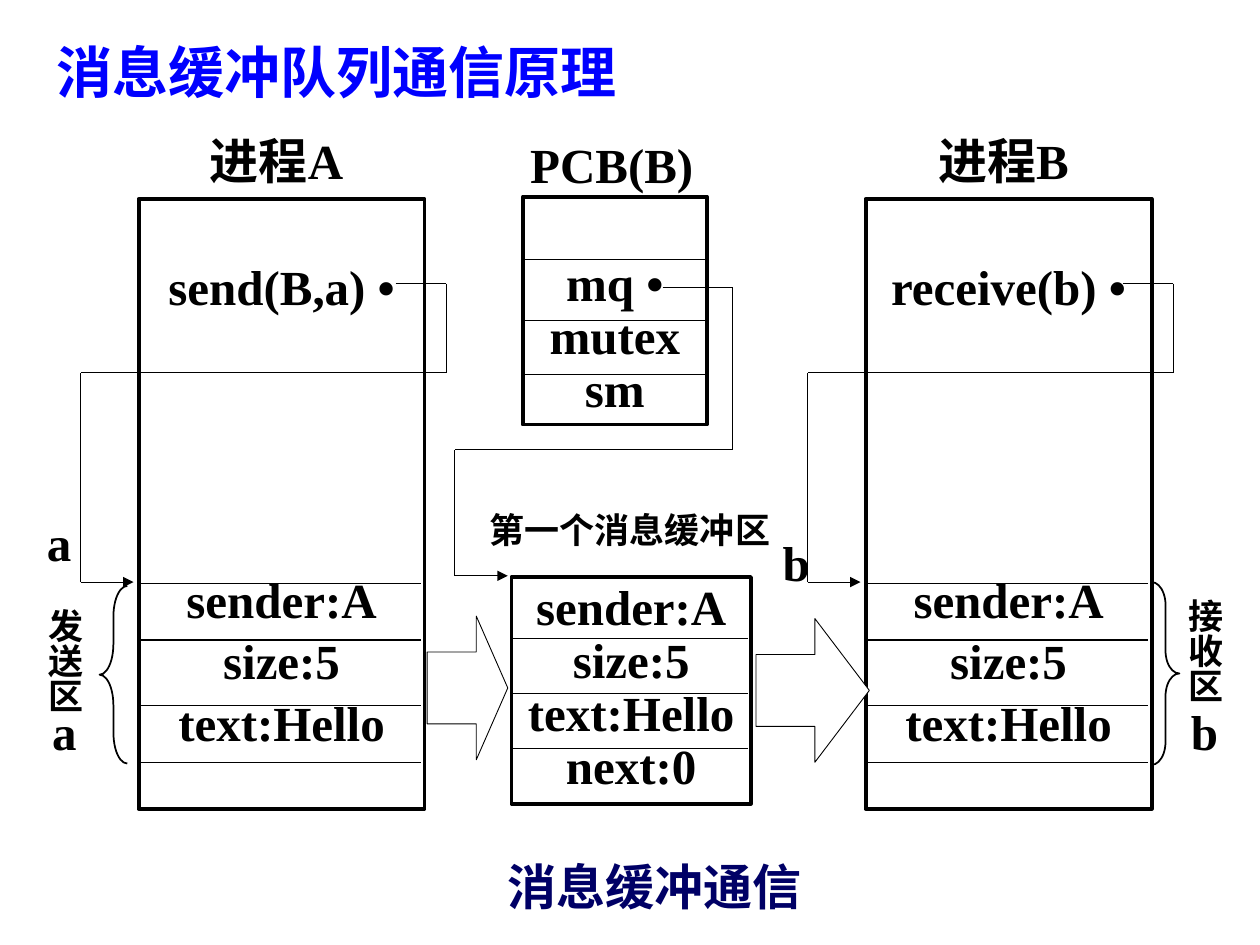
from lxml import etree
from pptx import Presentation, util as u
from pptx.dml.color import RGBColor
from pptx.enum import shapes as sh, text as tx
from pptx.oxml.ns import qn

FONT = "Times New Roman"
BLACK, WHITE, BLUE, NAVY = "000000", "FFFFFF", "0000FF", "000066"
COLS = 100  # square grid: 100 columns by 75 rows
WIDE = u.Inches(10)
PAD, SLIM = (0.6, 0.5), (0.2, 0.1)
MID = tx.PP_ALIGN.CENTER
KIND = sh.MSO_SHAPE


def cell(n):
    return u.Emu(round(n * WIDE / COLS))


def paint(fmt, code):
    fmt.solid()
    fmt.fore_color.rgb = RGBColor.from_string(code)


def write(shape, words, size=28, color=BLACK, pad=PAD, align=MID,
          lead=None, gaps=()):
    """Put bold text in a shape; gaps are points before each later line."""
    frame = shape.text_frame
    frame.text = words
    frame.word_wrap = True
    frame.margin_left = frame.margin_right = cell(pad[0])
    frame.margin_top = frame.margin_bottom = cell(pad[1])
    for para in frame.paragraphs:
        para.alignment = align
        if lead:
            para.line_spacing = lead
        for run in para.runs:
            run.font.name, run.font.size, run.font.bold = FONT, u.Pt(size), True
            run.font.color.rgb = RGBColor.from_string(color)
    for para, gap in zip(frame.paragraphs[1:], gaps):
        para.space_before = u.Pt(gap)
    return frame


def label(slide, spot, words, upright=False, **style):
    box = slide.shapes.add_textbox(*map(cell, spot))
    frame = write(box, words, **style)
    if upright:
        frame._txBody.find(qn("a:bodyPr")).set("vert", "eaVert")


def form(slide, kind, spot, width, fill=None, adj=()):
    shape = slide.shapes.add_shape(kind, *map(cell, spot))
    shape.shadow.inherit = False
    if fill:
        paint(shape.fill, fill)
    else:
        shape.fill.background()
    paint(shape.line.fill, BLACK)
    shape.line.width = u.Pt(width)
    for i, value in enumerate(adj):
        shape.adjustments[i] = value
    return shape


def rule(slide, start, end, width=0.5, head=False):
    line = slide.shapes.add_connector(
        sh.MSO_CONNECTOR.STRAIGHT, *map(cell, (*start, *end)))
    paint(line.line.fill, BLACK)
    line.line.width = u.Pt(width)
    if head:
        etree.SubElement(line.line._get_or_add_ln(), qn("a:tailEnd"),
                         type="triangle")
    etree.SubElement(line._element.spPr, qn("a:effectLst"))


def trail(slide, points):
    """Join points by straight lines, with an arrowhead on the last."""
    last = len(points) - 2
    for i, (start, end) in enumerate(zip(points, points[1:])):
        rule(slide, start, end, head=i == last)


def process(slide, left, name, call):
    """A process: heading, frame, message rows and pointer to them."""
    label(slide, (left - 0.1, 9.9, 22.1, 5.7), name)
    box = form(slide, KIND.RECTANGLE, (left, 15.8, 22.7, 48.4), 2.25)
    frame = write(box, f"{call} •\nsender:A\nsize:5\ntext:Hello",
                  gaps=(145, 1.5, 1.5))
    frame.word_wrap = False
    frame.vertical_anchor = tx.MSO_ANCHOR.MIDDLE
    for row in (46.3, 50.8, 56, 60.5):
        rule(slide, (left + 0.2, row), (left + 22.4, row), 0.75)
    near, far, back, tip = (left + n for n in (20.4, 24.4, -4.6, -0.4))
    trail(slide, [(near, 22.5), (far, 22.5), (far, 29.6), (back, 29.6),
                  (back, 46.2), (tip, 46.2)])


def block(slide):
    """The control block of process B and its pointer."""
    label(slide, (39, 10.2, 19.1, 5.7), "PCB(B)")
    box = form(slide, KIND.RECTANGLE, (41.5, 15.6, 14.6, 18.1), 2.25, WHITE)
    frame = write(box, "mq •\nmutex\nsm", lead=0.9)
    frame.word_wrap = False
    frame.vertical_anchor = tx.MSO_ANCHOR.BOTTOM
    for row in (20.6, 25.4, 29.7):
        rule(slide, (41.5, row), (56.1, row))
    trail(slide, [(52.6, 22.8), (58.1, 22.8), (58.1, 35.7), (36.1, 35.7),
                  (36.1, 45.7), (40.3, 45.7)])


def buffer(slide):
    """The first message buffer."""
    box = form(slide, KIND.RECTANGLE, (40.6, 45.8, 19, 18), 2.25)
    frame = write(box, "sender:A\nsize:5\ntext:Hello\nnext:0", lead=0.9)
    frame.vertical_anchor = tx.MSO_ANCHOR.TOP
    for row in (50.7, 55, 59.4):
        rule(slide, (40.7, row), (59.4, row))
    label(slide, (36.2, 39.9, 27.6, 4.4), "第一个消息缓冲区", size=20)


def area(slide, brace, spot, adj, left, top, name, mark):
    """A brace with the upright name and letter of a message area."""
    form(slide, brace, spot, 1, adj=(adj, 0.5))
    label(slide, (left, top, 4.6, 10.7), name, upright=True, size=20)
    label(slide, (left - 0.8, 55.6, 6.2, 4.9), mark, pad=SLIM)


def main():
    deck = Presentation()
    deck.slide_width, deck.slide_height = WIDE, u.Inches(7.5)
    slide = deck.slides.add_slide(deck.slide_layouts[6])

    # Title and caption
    label(slide, (3.9, 2.5, 89.7, 6.4), "消息缓冲队列通信原理", size=32,
          color=BLUE, align=tx.PP_ALIGN.LEFT)
    label(slide, (23.9, 67.5, 56.1, 5.7), "消息缓冲通信", color=NAVY)

    # Processes, control block and buffer
    process(slide, 11, "进程A", "send(B,a)")
    block(slide)
    buffer(slide)
    process(slide, 68.7, "进程B", "receive(b)")

    # Sending and receiving areas
    label(slide, (1.6, 40.6, 6.2, 4.9), "a", pad=SLIM)
    label(slide, (60.1, 42.2, 6.2, 4.9), "b", pad=SLIM)
    area(slide, KIND.LEFT_BRACE, (7.9, 46.5, 2.2, 14.1), 1.11,
         2.8, 47.3, "发送区", "a")
    area(slide, KIND.RIGHT_BRACE, (91.4, 46.2, 2.2, 14.5), 0.83,
         93.3, 46.5, "接收区", "b")

    # Message flow
    form(slide, KIND.RIGHT_ARROW, (33.9, 48.9, 6.4, 11.4), 0.5, WHITE,
         (0.5, 0.39))
    form(slide, KIND.RIGHT_ARROW, (60, 49.1, 9, 11.4), 0.5, WHITE,
         (0.5, 0.48))

    deck.save("out.pptx")


if __name__ == "__main__":
    main()
